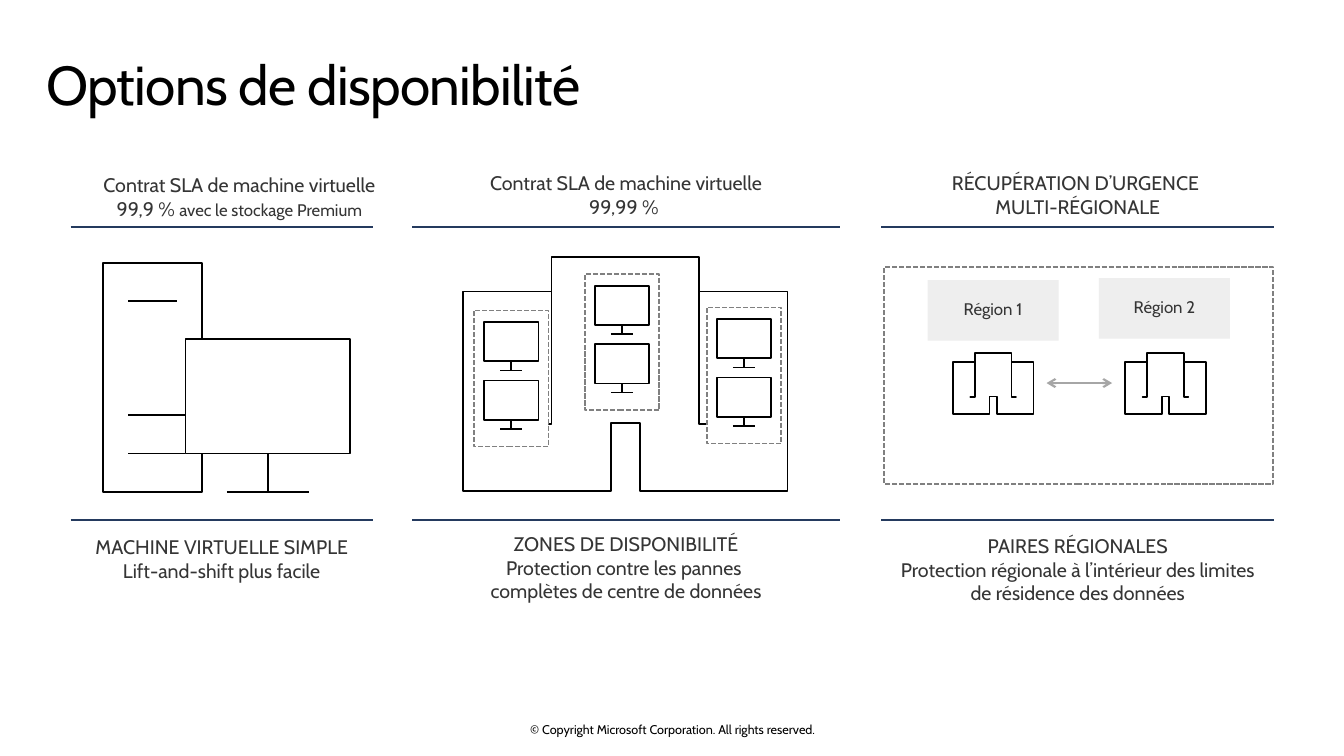
from lxml import etree
from pptx import Presentation
from pptx.dml.color import RGBColor
from pptx.enum.dml import MSO_LINE
from pptx.enum.shapes import MSO_CONNECTOR, MSO_SHAPE
from pptx.enum.text import MSO_ANCHOR, PP_ALIGN
from pptx.oxml.ns import qn
from pptx.util import Inches, Pt

FONT = "Cabin"
BLACK = RGBColor(0x00, 0x00, 0x00)
WHITE = RGBColor(0xFF, 0xFF, 0xFF)
NAVY = RGBColor(0x24, 0x3A, 0x5E)
TEXT_GRAY = RGBColor(0x35, 0x35, 0x35)
DASH_GRAY = RGBColor(0x80, 0x80, 0x80)
ARROW_GRAY = RGBColor(0xA6, 0xA6, 0xA6)
PANEL_GRAY = RGBColor(0xEE, 0xEE, 0xEE)
DASHED = MSO_LINE.SQUARE_DOT
RECTANGLE = MSO_SHAPE.RECTANGLE
STRAIGHT = MSO_CONNECTOR.STRAIGHT
LEFT, CENTER = PP_ALIGN.LEFT, PP_ALIGN.CENTER
TOP, MIDDLE = MSO_ANCHOR.TOP, MSO_ANCHOR.MIDDLE

COLUMNS = [(0.7, 3.0), (4.09, 4.24), (8.74, 3.9)]
RULE_ROWS = (2.25, 5.16)
SCREEN_WIDTH, SCREEN_HEIGHT, SCREEN_PITCH = 0.54, 0.39, 0.58
ZONE_WIDTH, ZONE_HEIGHT = 0.74, 1.35
BUILDING_OUTLINE = [
    (0.456, 1), (0, 1), (0, 0.147), (0.273, 0.147), (0.273, 0.714),
    (0.217, 0.714), (0.273, 0.714), (0.273, 0), (0.727, 0), (0.727, 0.714),
    (0.783, 0.714), (0.727, 0.714), (0.727, 0.147), (1, 0.147), (1, 1),
    (0.547, 1), (0.547, 0.711), (0.456, 0.711)]


def box(left, top, width, height):
    return [Inches(length) for length in (left, top, width, height)]


def write_text(frame, lines, size, color, align=CENTER, anchor=TOP,
               insets=(0.1, 0.05, 0.1, 0.05), spacing=None):
    frame.word_wrap = True
    frame.vertical_anchor = anchor
    (frame.margin_left, frame.margin_top,
     frame.margin_right, frame.margin_bottom) = box(*insets)
    for index, line in enumerate(lines):
        paragraph = frame.add_paragraph() if index else frame.paragraphs[0]
        paragraph.text = line
        paragraph.alignment = align
        paragraph.line_spacing = spacing
        paragraph.font.name = FONT
        paragraph.font.size = Pt(size)
        paragraph.font.color.rgb = color
    return frame


def add_text(slide, place, lines, size=14, color=TEXT_GRAY, **options):
    shape = slide.shapes.add_textbox(*box(*place))
    return write_text(shape.text_frame, lines, size, color, **options)


def add_title(slide, text):
    title = slide.shapes.title
    title.left, title.top, title.width, title.height = box(0.46, 0.48, 12.4, 0.74)
    frame = write_text(title.text_frame, [text], 39.2, BLACK, align=LEFT,
                       insets=(0, 0.1, 0.16, 0.1), spacing=0.9)
    frame.paragraphs[0].runs[0].font._element.set("spc", "-50")


def add_line(slide, start, end, color, width):
    points = [Inches(length) for length in (*start, *end)]
    line = slide.shapes.add_connector(STRAIGHT, *points)
    line.line.color.rgb = color
    line.line.width = Pt(width)
    etree.SubElement(line._element.spPr, qn("a:effectLst"))
    return line


def add_double_arrow(slide, start, end):
    arrow = add_line(slide, start, end, ARROW_GRAY, 1.5)
    outline = arrow.line._get_or_add_ln()
    for tag in ("a:headEnd", "a:tailEnd"):
        etree.SubElement(outline, qn(tag), type="arrow")


def add_rectangle(slide, place, fill=None, dashed=False):
    shape = slide.shapes.add_shape(RECTANGLE, *box(*place))
    shape.shadow.inherit = False
    if fill is None:
        shape.fill.background()
    else:
        shape.fill.solid()
        shape.fill.fore_color.rgb = fill
    if dashed:
        shape.line.color.rgb = DASH_GRAY
        shape.line.width = Pt(1.25)
        shape.line.dash_style = DASHED
    else:
        shape.line.fill.background()
    return shape


def add_drawing(slide, strokes, close=False):
    paths = [[(Inches(x), Inches(y)) for x, y in stroke] for stroke in strokes]
    builder = slide.shapes.build_freeform(*paths[0][0])
    for index, path in enumerate(paths):
        if index:
            builder.move_to(*path[0])
        builder.add_line_segments(path[1:], close=close)
    shape = builder.convert_to_shape()
    shape.shadow.inherit = False
    shape.fill.background()
    shape.line.color.rgb = BLACK
    shape.line.width = Pt(1.25)


def add_building(slide, left, top, width, height):
    outline = [(left + x * width, top + y * height) for x, y in BUILDING_OUTLINE]
    add_drawing(slide, [outline], close=True)


def monitor_strokes(left, top, width, height, stand, foot):
    right, bottom, middle = left + width, top + height, left + width / 2
    floor = bottom + stand
    return [
        [(left, top), (right, top), (right, bottom), (left, bottom), (left, top)],
        [(middle, bottom), (middle, floor)],
        [(middle - foot / 2, floor), (middle + foot / 2, floor)]]


def add_zone(slide, left, top):
    add_rectangle(slide, (left, top, ZONE_WIDTH, ZONE_HEIGHT), WHITE, dashed=True)
    for row in range(2):
        add_drawing(slide, monitor_strokes(
            left + 0.1, top + 0.115 + row * SCREEN_PITCH,
            SCREEN_WIDTH, SCREEN_HEIGHT, 0.09, 0.22))


def add_server(slide):
    screen = monitor_strokes(1.84, 3.36, 1.63, 1.14, 0.38, 0.81)
    slots = [[(1.27, y), (right, y)]
             for y, right in ((2.99, 1.76), (4.12, 1.84), (4.5, 1.84))]
    tower = [(2, 3.36), (2, 2.61), (1.02, 2.61), (1.02, 4.88), (2, 4.88), (2, 4.5)]
    add_drawing(slide, screen + slots + [tower])


def add_region(slide, left, top, name, building_left):
    panel = add_rectangle(slide, (left, top, 1.3, 0.6), PANEL_GRAY)
    write_text(panel.text_frame, [name], 12, TEXT_GRAY, anchor=MIDDLE,
               insets=(0, 0, 0, 0), spacing=0.9)
    add_building(slide, building_left, 3.5, 0.8, 0.61)


def main():
    presentation = Presentation()
    presentation.slide_width, presentation.slide_height = Inches(13.33), Inches(7.5)
    slide = presentation.slides.add_slide(presentation.slide_layouts[5])
    add_title(slide, "Options de disponibilité")

    for left, width in COLUMNS:
        for row in RULE_ROWS:
            add_line(slide, (left, row), (left + width, row), NAVY, 1.25)

    (first, first_width), (second, second_width), (third, third_width) = COLUMNS
    heading = add_text(slide, (first, 1.67, 3.35, 0.57),
                       ["Contrat SLA de machine virtuelle", "99,9 % "])
    detail = heading.paragraphs[1].add_run()
    detail.text = "avec le stockage Premium"
    detail.font.size = Pt(12)
    add_text(slide, (second, 1.65, second_width, 0.57),
             ["Contrat SLA de machine virtuelle", "99,99 % "])
    add_text(slide, (third, 1.65, third_width, 0.57),
             ["RÉCUPÉRATION D’URGENCE \vMULTI-RÉGIONALE"])

    add_text(slide, (first, 5.26, first_width, 0.57),
             ["MACHINE VIRTUELLE SIMPLE", "Lift-and-shift plus facile"])
    add_text(slide, (second, 5.23, second_width, 0.81),
             ["ZONES DE DISPONIBILITÉ",
              "Protection contre les pannes \vcomplètes de centre de données"])
    add_text(slide, (third, 5.25, third_width, 0.81),
             ["PAIRES RÉGIONALES",
              "Protection régionale à l’intérieur des limites de résidence des données"])

    add_server(slide)

    add_building(slide, 4.59, 2.55, 3.22, 2.32)
    for left, top in ((4.7, 3.08), (5.8, 2.72), (7.01, 3.05)):
        add_zone(slide, left, top)

    add_rectangle(slide, (8.77, 2.65, 3.86, 2.15), dashed=True)
    add_region(slide, 9.2, 2.78, "Région 1", 9.45)
    add_region(slide, 10.9, 2.76, "Région 2", 11.16)
    add_double_arrow(slide, (10.38, 3.8), (11.03, 3.8))

    add_text(slide, (4.42, 7.16, 4.5, 0.15),
             ["© Copyright Microsoft Corporation. All rights reserved."],
             size=9, color=BLACK, anchor=MIDDLE, insets=(0, 0, 0, 0))
    presentation.save("out.pptx")


if __name__ == "__main__":
    main()
